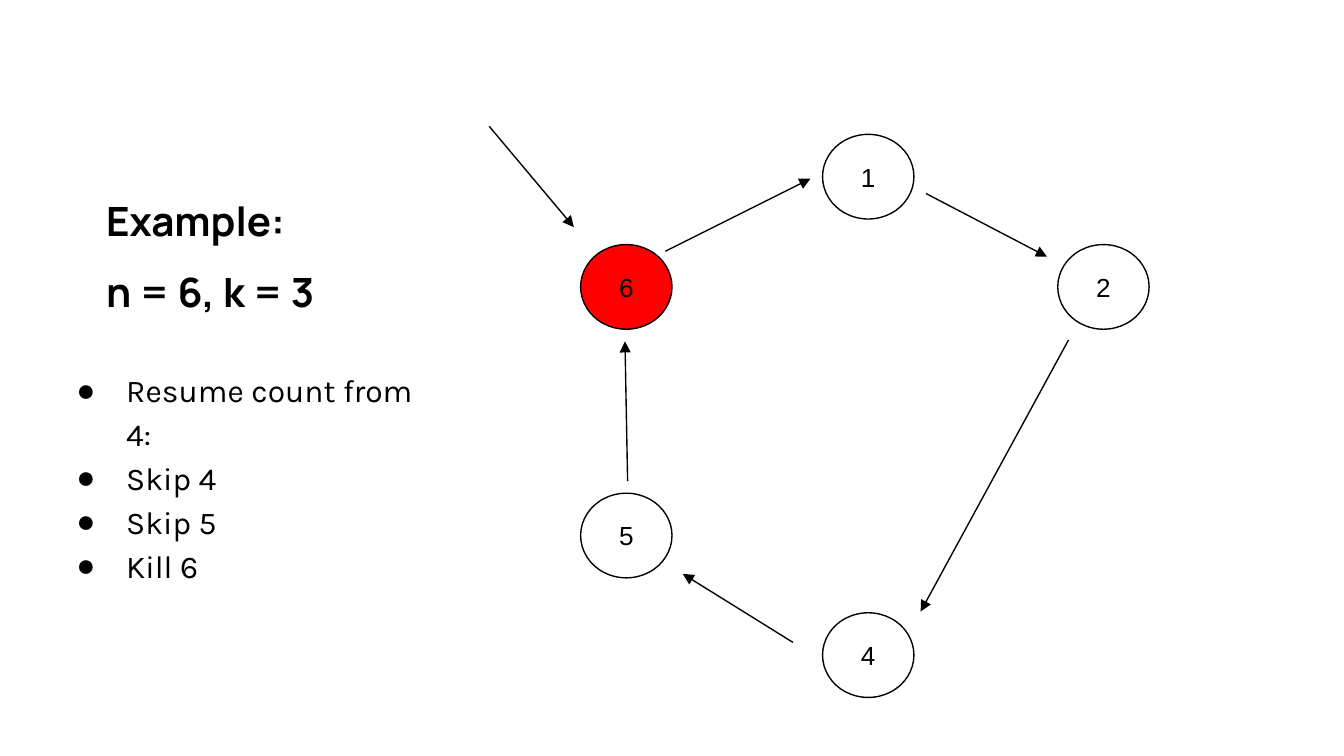
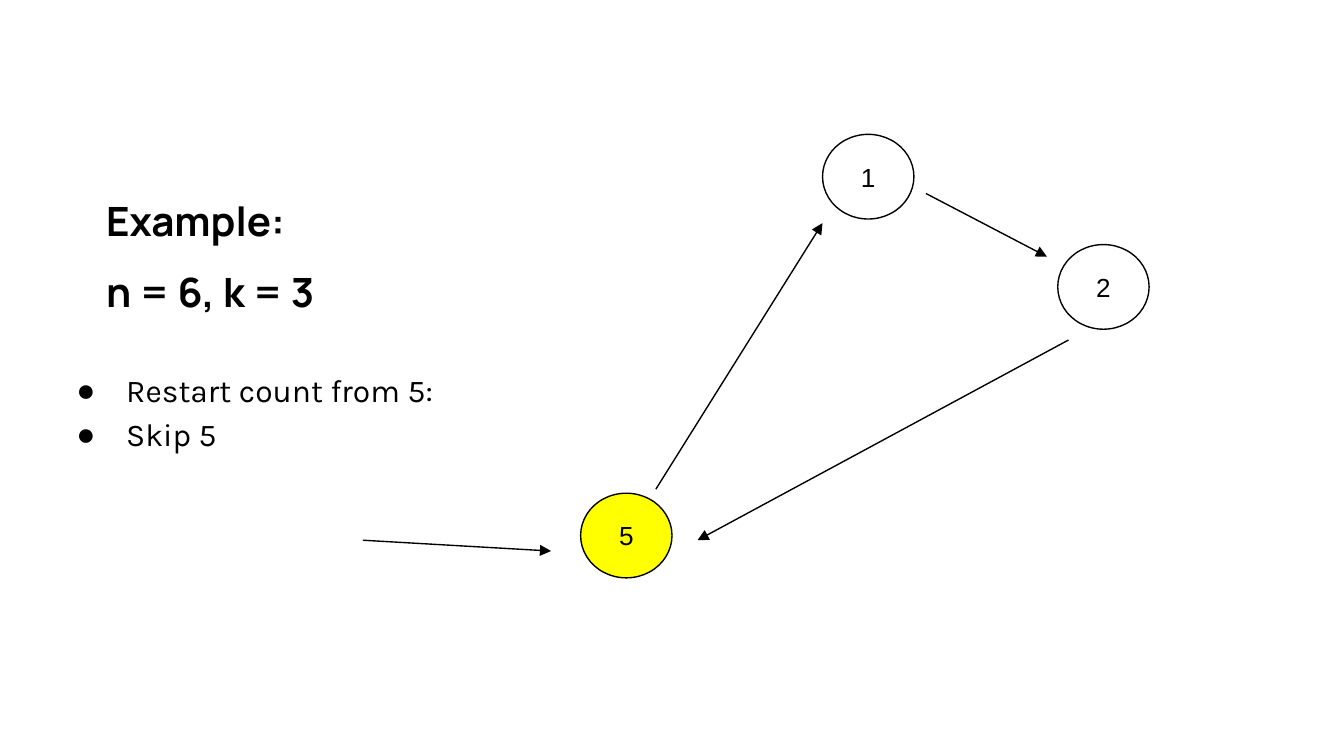
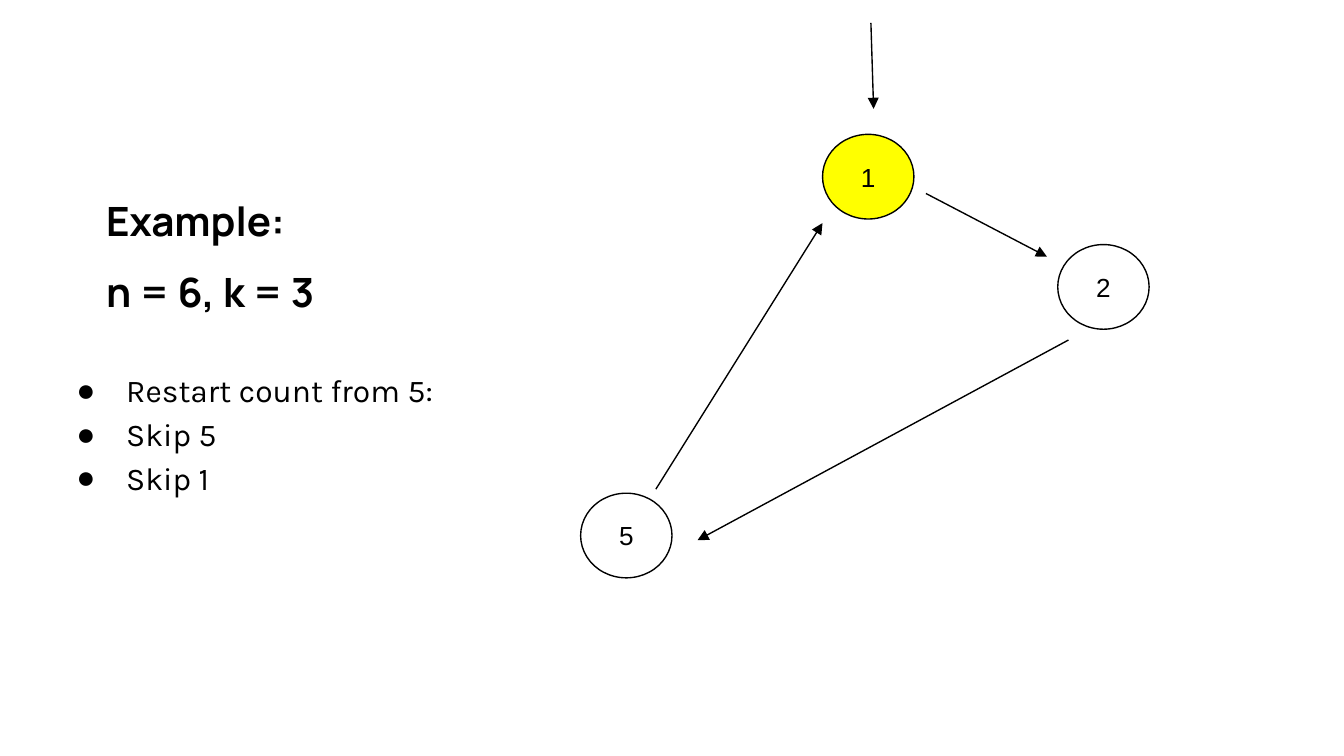
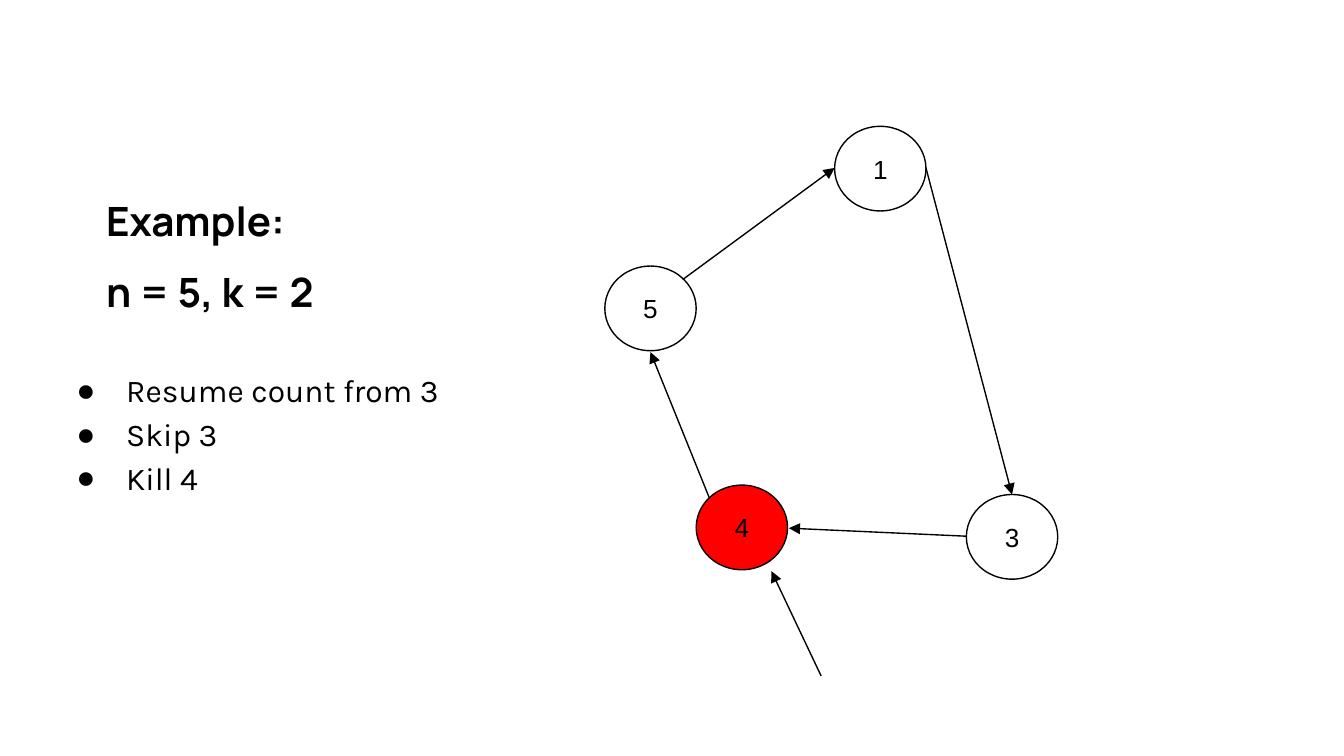
from lxml.etree import SubElement
from pptx import Presentation
from pptx.dml.color import RGBColor
from pptx.enum.shapes import MSO_CONNECTOR, MSO_SHAPE
from pptx.enum.text import MSO_ANCHOR, MSO_AUTO_SIZE, PP_ALIGN
from pptx.oxml.ns import qn
from pptx.util import Inches, Pt

COLORS = {"ink": "000000", "paper": "FFFFFF", "killed": "FF0000", "skipped": "FFFF00"}
INK = RGBColor.from_string(COLORS["ink"])

presentation = Presentation()
presentation.slide_width = Inches(10)
presentation.slide_height = presentation.slide_width * 9 // 16
TITLE_ONLY = presentation.slide_layouts[5]

# Square grid: the slide is 1000 cells wide.
CELL = presentation.slide_width // 1000
TITLE_BOX = (69, 138, 307, 107)
STEPS_BOX = (34, 262, 307, 238)
NODE_SIZE = (68, 63)

# Top left corners of the people in the six-person circle
CIRCLE = {"1": (612, 100), "2": (787, 182), "4": (612, 456), "5": (432, 367), "6": (432, 182)}
ONE_TO_TWO = ((689, 144), (779, 191))
SMALL_CIRCLE = [ONE_TO_TWO, ((795, 253), (519, 402)), ((488, 364), (612, 166))]

ROUNDS = [
    {
        "setting": "n = 6, k = 3",
        "steps": ["Resume count from 4:", "Skip 4", "Skip 5", "Kill 6"],
        "nodes": {name: CIRCLE[name] for name in "12645"},
        "fills": {"6": "killed"},
        "arrows": [
            ONE_TO_TWO,
            ((795, 253), (685, 455)),
            ((590, 478), (508, 427)),
            ((467, 358), (465, 254)),
            ((495, 187), (603, 133)),
        ],
        "pointer": ((364, 94), (427, 169)),
    },
    {
        "setting": "n = 6, k = 3",
        "steps": ["Restart count from 5:", "Skip 5"],
        "nodes": {name: CIRCLE[name] for name in "125"},
        "fills": {"5": "skipped"},
        "arrows": SMALL_CIRCLE,
        "pointer": ((270, 402), (410, 410)),
    },
    {
        "setting": "n = 6, k = 3",
        "steps": ["Restart count from 5:", "Skip 5", "Skip 1"],
        "nodes": {name: CIRCLE[name] for name in "125"},
        "fills": {"1": "skipped"},
        "arrows": SMALL_CIRCLE,
        "pointer": ((648, 17), (650, 81)),
    },
    {
        "setting": "n = 5, k = 2",
        "steps": ["Resume count from 3", "Skip 3", "Kill 4"],
        "nodes": {"1": (621, 94), "4": (518, 361), "5": (450, 198), "3": (719, 368)},
        "fills": {"4": "killed", "5": "paper"},
        "arrows": [
            ((689, 125), (753, 368)),
            ((719, 399), (587, 393)),
            ((528, 371), (484, 262)),
            ((508, 208), (621, 125)),
        ],
        "pointer": ((611, 503), (574, 425)),
    },
]


def cells(*counts):
    return [count * CELL for count in counts]


def add_run(paragraph, text, font_name, size, bold=False):
    run = paragraph.add_run()
    run.text = text
    run.font.name = font_name
    run.font.size = Pt(size)
    run.font.bold = bold
    run.font.color.rgb = INK


for game in ROUNDS:
    slide = presentation.slides.add_slide(TITLE_ONLY)
    slide.background.fill.solid()
    slide.background.fill.fore_color.rgb = RGBColor.from_string(COLORS["paper"])

    title = slide.shapes.title
    title.left, title.top, title.width, title.height = cells(*TITLE_BOX)
    steps = slide.shapes.add_textbox(*cells(*STEPS_BOX))
    nodes = []
    for name, corner in game["nodes"].items():
        node = slide.shapes.add_shape(MSO_SHAPE.OVAL, *cells(*corner, *NODE_SIZE))
        node.shadow.inherit = False
        node.line.color.rgb = INK
        node.line.width = Pt(0.75)
        if name in game["fills"]:
            node.fill.solid()
            node.fill.fore_color.rgb = RGBColor.from_string(COLORS[game["fills"][name]])
        else:
            node.fill.background()
        paragraph = node.text_frame.paragraphs[0]
        paragraph.alignment = PP_ALIGN.CENTER
        add_run(paragraph, name, "Arial", 14)
        nodes.append(node)

    anchors = [(title, MSO_ANCHOR.BOTTOM), (steps, MSO_ANCHOR.TOP)]
    anchors += [(node, MSO_ANCHOR.MIDDLE) for node in nodes]
    for shape, anchor in anchors:
        frame = shape.text_frame
        frame.word_wrap = True
        frame.auto_size = MSO_AUTO_SIZE.NONE
        frame.vertical_anchor = anchor
        frame.margin_left = frame.margin_right = Inches(0.1)
        frame.margin_top = frame.margin_bottom = Inches(0.1)

    for index, text in enumerate(["Example:", game["setting"]]):
        frame = title.text_frame
        paragraph = frame.add_paragraph() if index else frame.paragraphs[0]
        paragraph.alignment = PP_ALIGN.LEFT
        paragraph.space_before = Pt(12.5 * index)
        add_run(paragraph, text, "Manrope", 21.6, bold=True)

    for index, text in enumerate(game["steps"]):
        frame = steps.text_frame
        paragraph = frame.add_paragraph() if index else frame.paragraphs[0]
        properties = paragraph._p.get_or_add_pPr()
        properties.set("marL", str(Inches(0.5)))
        properties.set("indent", str(-Inches(0.37)))
        bullet_color = SubElement(properties, qn("a:buClr"))
        SubElement(bullet_color, qn("a:srgbClr"), val=COLORS["ink"])
        SubElement(properties, qn("a:buFont"), typeface="Arial")
        SubElement(properties, qn("a:buChar"), char="●")
        paragraph.line_spacing = 1.15
        add_run(paragraph, text, "Karla", 17)

    for start, end in game["arrows"] + [game["pointer"]]:
        arrow = slide.shapes.add_connector(MSO_CONNECTOR.STRAIGHT, *cells(*start, *end))
        arrow.line.color.rgb = INK
        arrow.line.width = Pt(0.75)
        SubElement(arrow.line._get_or_add_ln(), qn("a:tailEnd"), type="triangle")
        SubElement(arrow._element.spPr, qn("a:effectLst"))

presentation.save("out.pptx")
